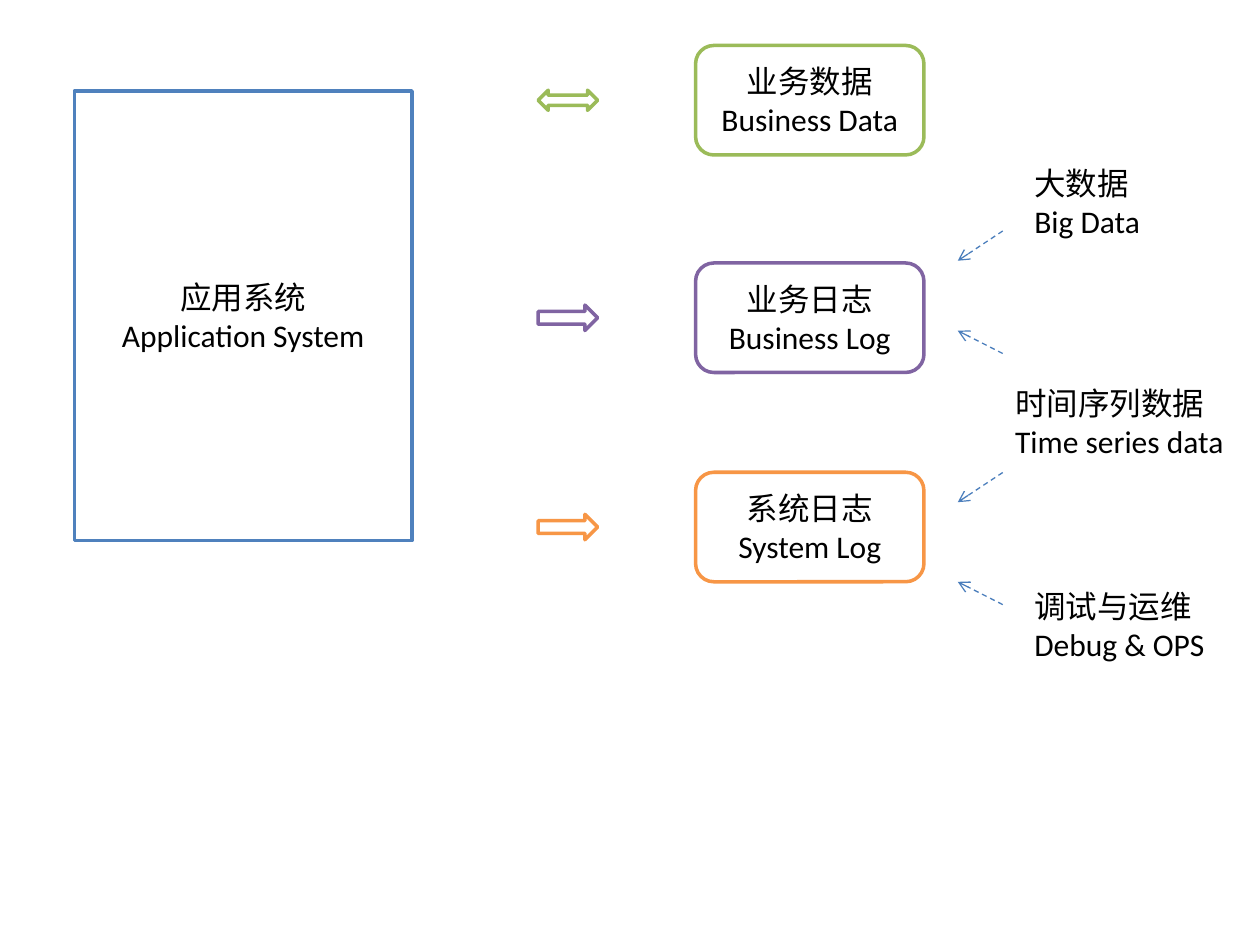
from dataclasses import dataclass

from lxml import etree
from pptx import Presentation
from pptx.dml.color import RGBColor
from pptx.enum.dml import MSO_LINE
from pptx.enum.shapes import MSO_CONNECTOR, MSO_SHAPE
from pptx.enum.text import MSO_ANCHOR, MSO_AUTO_SIZE, PP_ALIGN
from pptx.oxml.ns import qn
from pptx.util import Pt

RECTANGLE = MSO_SHAPE.RECTANGLE
ROUNDED = MSO_SHAPE.ROUNDED_RECTANGLE
RIGHT_ARROW = MSO_SHAPE.RIGHT_ARROW
DOUBLE_ARROW = MSO_SHAPE.LEFT_RIGHT_ARROW
STRAIGHT = MSO_CONNECTOR.STRAIGHT
CENTER, LEFT = PP_ALIGN.CENTER, PP_ALIGN.LEFT
MIDDLE = MSO_ANCHOR.MIDDLE
FIT_SHAPE = MSO_AUTO_SIZE.SHAPE_TO_FIT_TEXT
DASH = MSO_LINE.DASH


@dataclass(frozen=True)
class Theme:
    """Colours, font and sizes of the slide."""
    font: str = "Calibri"
    text_size: int = 18
    outline: float = 2
    link_width: float = 0.75
    text: RGBColor = RGBColor(0, 0, 0)
    fill: RGBColor = RGBColor(255, 255, 255)
    blue: RGBColor = RGBColor(0x4F, 0x81, 0xBD)
    green: RGBColor = RGBColor(0x9B, 0xBB, 0x59)
    purple: RGBColor = RGBColor(0x80, 0x64, 0xA2)
    orange: RGBColor = RGBColor(0xF7, 0x96, 0x46)
    link: RGBColor = RGBColor(0x4B, 0x7E, 0xBC)


theme = Theme()
presentation = Presentation()
presentation.slide_width, presentation.slide_height = Pt(720), Pt(540)
slide = presentation.slides.add_slide(presentation.slide_layouts[6])


def write_text(shape, text, alignment):
    """Set the text of a shape and format its runs."""
    shape.text_frame.text = text
    for paragraph in shape.text_frame.paragraphs:
        paragraph.alignment = alignment
        for run in paragraph.runs:
            run.font.name = theme.font
            run.font.size = Pt(theme.text_size)
            run.font.color.rgb = theme.text


def add_outlined(kind, left, top, width, height, color):
    """Add a white shape with a coloured outline."""
    shape = slide.shapes.add_shape(kind, Pt(left), Pt(top), Pt(width), Pt(height))
    shape.shadow.inherit = False
    shape.fill.solid()
    shape.fill.fore_color.rgb = theme.fill
    shape.line.color.rgb = color
    shape.line.width = Pt(theme.outline)
    return shape


# Application system
system = add_outlined(RECTANGLE, 42.5, 52, 193, 257, theme.blue)
system.text_frame.vertical_anchor = MIDDLE
write_text(system, "应用系统\nApplication System", CENTER)

# Data stores, each with a block arrow on the same centre line
stores = [
    ("业务数据\nBusiness Data", 57.3, theme.green, DOUBLE_ARROW, 11.5),
    ("业务日志\nBusiness Log", 181.6, theme.purple, RIGHT_ARROW, 14.5),
    ("系统日志\nSystem Log", 301.2, theme.orange, RIGHT_ARROW, 14.5),
]
box_height = 62.6
for text, middle, color, arrow_kind, arrow_height in stores:
    box = add_outlined(ROUNDED, 397.5, middle - box_height / 2, 130.5, box_height, color)
    box.text_frame.vertical_anchor = MIDDLE
    write_text(box, text, CENTER)
    add_outlined(arrow_kind, 307.5, middle - arrow_height / 2, 34, arrow_height, color)

# Uses of the data
uses = [
    ("大数据\nBig Data", 584, 90, 75.5),
    ("时间序列数据\nTime series data", 573, 216, 134.5),
    ("调试与运维\nDebug & OPS", 584, 332, 113),
]
for text, left, top, width in uses:
    label = slide.shapes.add_textbox(Pt(left), Pt(top), Pt(width), Pt(51))
    label.text_frame.word_wrap = False
    label.text_frame.auto_size = FIT_SHAPE
    write_text(label, text, LEFT)

# Dashed links from the uses back to the logs
for start, end in [(132, 149), (202, 189), (270, 287), (345.5, 332.5)]:
    link = slide.shapes.add_connector(STRAIGHT, Pt(573), Pt(start), Pt(547.3), Pt(end))
    link.line.color.rgb = theme.link
    link.line.width = Pt(theme.link_width)
    link.line.dash_style = DASH
    etree.SubElement(link.line._get_or_add_ln(), qn("a:tailEnd"), type="arrow")
    etree.SubElement(link._element.spPr, qn("a:effectLst"))

presentation.save("out.pptx")
